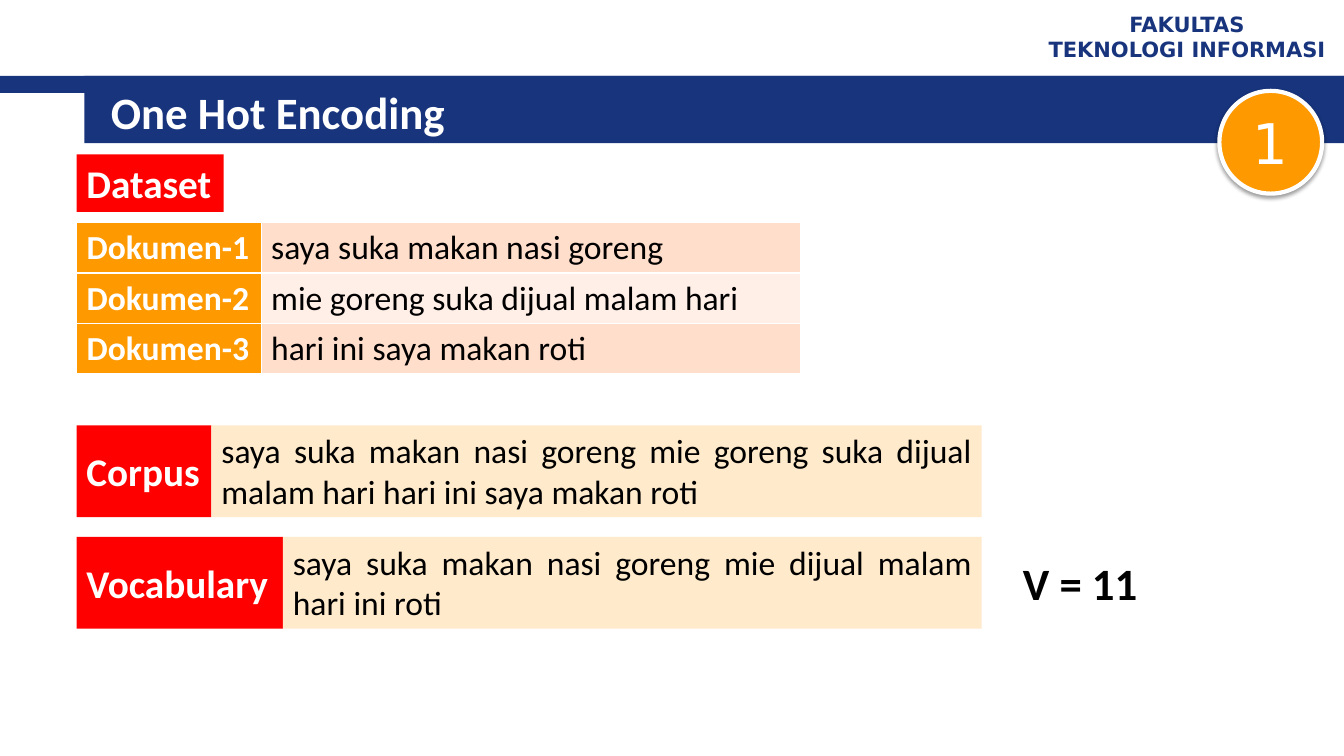
"""Build the One Hot Encoding slide with its dataset, corpus and vocabulary."""
from lxml.etree import SubElement
from pptx import Presentation
from pptx.dml.color import RGBColor
from pptx.enum.shapes import MSO_SHAPE
from pptx.enum.text import MSO_ANCHOR, MSO_AUTO_SIZE, PP_ALIGN
from pptx.oxml import parse_xml
from pptx.oxml.ns import nsdecls, qn
from pptx.util import Cm, Pt

TITLE = "One Hot Encoding"
FACULTY = ["FAKULTAS", "TEKNOLOGI INFORMASI"]
NUMBER = "1"
DATASET = "Dataset"
DOCUMENTS = [
    ("Dokumen-1", "saya suka makan nasi goreng"),
    ("Dokumen-2", "mie goreng suka dijual malam hari"),
    ("Dokumen-3", "hari ini saya makan roti"),
]
PANELS = [
    ("Corpus", 3.4, "saya suka makan nasi goreng mie goreng suka dijual "
     "malam hari hari ini saya makan roti"),
    ("Vocabulary", 5.2, "saya suka makan nasi goreng mie dijual malam hari ini roti"),
]
SIZE = "V = 11"

COLORS = {
    "navy": "17347D", "white": "FFFFFF", "black": "000000", "red": "FF0000",
    "orange": "FF9900", "cream": "FFEBCC", "peach": "FFDECC", "blush": "FFEFE7",
}
BODY, HEADER = "Calibri", "DejaVu Sans"
WIDTH, HEIGHT = 33.87, 19.05
LEFT, PANEL_RIGHT = 1.93, 24.74
PANEL_TOP, PANEL_HEIGHT, PANEL_STEP = 10.72, 2.31, 2.81
COLUMNS, ROW_HEIGHT = (4.65, 13.59), 1.27


def color(name):
    return RGBColor.from_string(COLORS[name])


def write(tf, lines, size, ink, bold=False, font=BODY, align=PP_ALIGN.LEFT,
          anchor=MSO_ANCHOR.TOP, wrap=True):
    tf.word_wrap = wrap
    tf.vertical_anchor = anchor
    for i, line in enumerate(lines):
        p = tf.add_paragraph() if i else tf.paragraphs[0]
        p.alignment = align
        r = p.add_run()
        r.text = line
        r.font.name, r.font.size, r.font.bold = font, Pt(size), bold
        r.font.color.rgb = color(ink)


def add_box(shapes, x, y, w, h, fill, kind=MSO_SHAPE.RECTANGLE):
    sp = shapes.add_shape(kind, Cm(x), Cm(y), Cm(w), Cm(h))
    sp.shadow.inherit = False
    sp.fill.solid()
    sp.fill.fore_color.rgb = color(fill)
    sp.line.fill.background()
    return sp


def add_label(shapes, text, x, y, w, h, anchor=MSO_ANCHOR.MIDDLE):
    sp = add_box(shapes, x, y, w, h, "red")
    write(sp.text_frame, [text], 28, "white", True, anchor=anchor, wrap=False)


def add_header(slide):
    bars = [(0, 1.91, WIDTH, 0.43), (2.13, 1.91, WIDTH - 2.13, 1.7)]
    title = slide.shapes.title
    for bar in bars:
        title.element.addprevious(add_box(slide.shapes, *bar, "navy").element)
    title.left, title.top, title.width, title.height = Cm(2.54), Cm(2.03), Cm(30.2), Cm(1.57)
    title.text_frame.auto_size = MSO_AUTO_SIZE.NONE
    write(title.text_frame, [TITLE], 32, "white", True, anchor=MSO_ANCHOR.MIDDLE)
    tb = slide.shapes.add_textbox(Cm(25.98), Cm(0.13), Cm(7.87), Cm(1.57))
    write(tb.text_frame, FACULTY, 15, "navy", True, HEADER, PP_ALIGN.CENTER, MSO_ANCHOR.MIDDLE)


def add_borders(cell):
    tcPr = cell._tc.get_or_add_tcPr()
    for i, side in enumerate(("lnL", "lnR", "lnT", "lnB")):
        ln = parse_xml(f'<a:{side} {nsdecls("a")} w="12700"/>')
        fill = SubElement(ln, qn("a:solidFill"))
        SubElement(fill, qn("a:srgbClr"), val=COLORS["white"])
        tcPr.insert(i, ln)


def add_documents(shapes):
    frame = shapes.add_table(len(DOCUMENTS), len(COLUMNS), Cm(LEFT), Cm(5.61),
                             Cm(sum(COLUMNS)), Cm(ROW_HEIGHT * len(DOCUMENTS)))
    table = frame.table
    table.first_row, table.first_col = False, True
    for column, width in zip(table.columns, COLUMNS):
        column.width = Cm(width)
    for i, document in enumerate(DOCUMENTS):
        band = "blush" if i % 2 else "peach"
        styles = [("orange", "white", True), (band, "black", False)]
        for j, (text, (fill, ink, bold)) in enumerate(zip(document, styles)):
            cell = table.cell(i, j)
            cell.fill.solid()
            cell.fill.fore_color.rgb = color(fill)
            add_borders(cell)
            write(cell.text_frame, [text], 24, ink, bold)


def add_panels(shapes):
    for i, (label, width, words) in enumerate(PANELS):
        y = PANEL_TOP + i * PANEL_STEP
        x = LEFT + width
        add_label(shapes, label, LEFT, y, width, PANEL_HEIGHT)
        sp = add_box(shapes, x, y, PANEL_RIGHT - x, PANEL_HEIGHT, "cream")
        write(sp.text_frame, [words], 24, "black", align=PP_ALIGN.JUSTIFY)


def add_badge(shapes):
    sp = add_box(shapes, 30.73, 2.29, 2.59, 2.59, "orange", MSO_SHAPE.OVAL)
    sp.line.color.rgb = color("white")
    sp.line.width = Pt(3)
    write(sp.text_frame, [NUMBER], 40, "white", font=HEADER,
          align=PP_ALIGN.CENTER, anchor=MSO_ANCHOR.MIDDLE)
    effects = sp.element.spPr.find(qn("a:effectLst"))
    shadow = SubElement(effects, qn("a:outerShdw"), blurRad=str(Pt(3.1)),
                        dist=str(Pt(1.6)), dir="5400000", rotWithShape="0")
    tint = SubElement(shadow, qn("a:srgbClr"), val=COLORS["black"])
    SubElement(tint, qn("a:alpha"), val="38000")


def main():
    prs = Presentation()
    prs.slide_width, prs.slide_height = Cm(WIDTH), Cm(HEIGHT)
    slide = prs.slides.add_slide(prs.slide_layouts[5])
    shapes = slide.shapes
    add_header(slide)
    add_documents(shapes)
    add_label(shapes, DATASET, LEFT, 3.89, 3.71, 1.45, MSO_ANCHOR.TOP)
    add_panels(shapes)
    tb = shapes.add_textbox(Cm(25.53), Cm(13.87), Cm(3.68), Cm(1.63))
    write(tb.text_frame, [SIZE], 32, "black", True, wrap=False)
    add_badge(shapes)
    prs.save("out.pptx")


if __name__ == "__main__":
    main()
